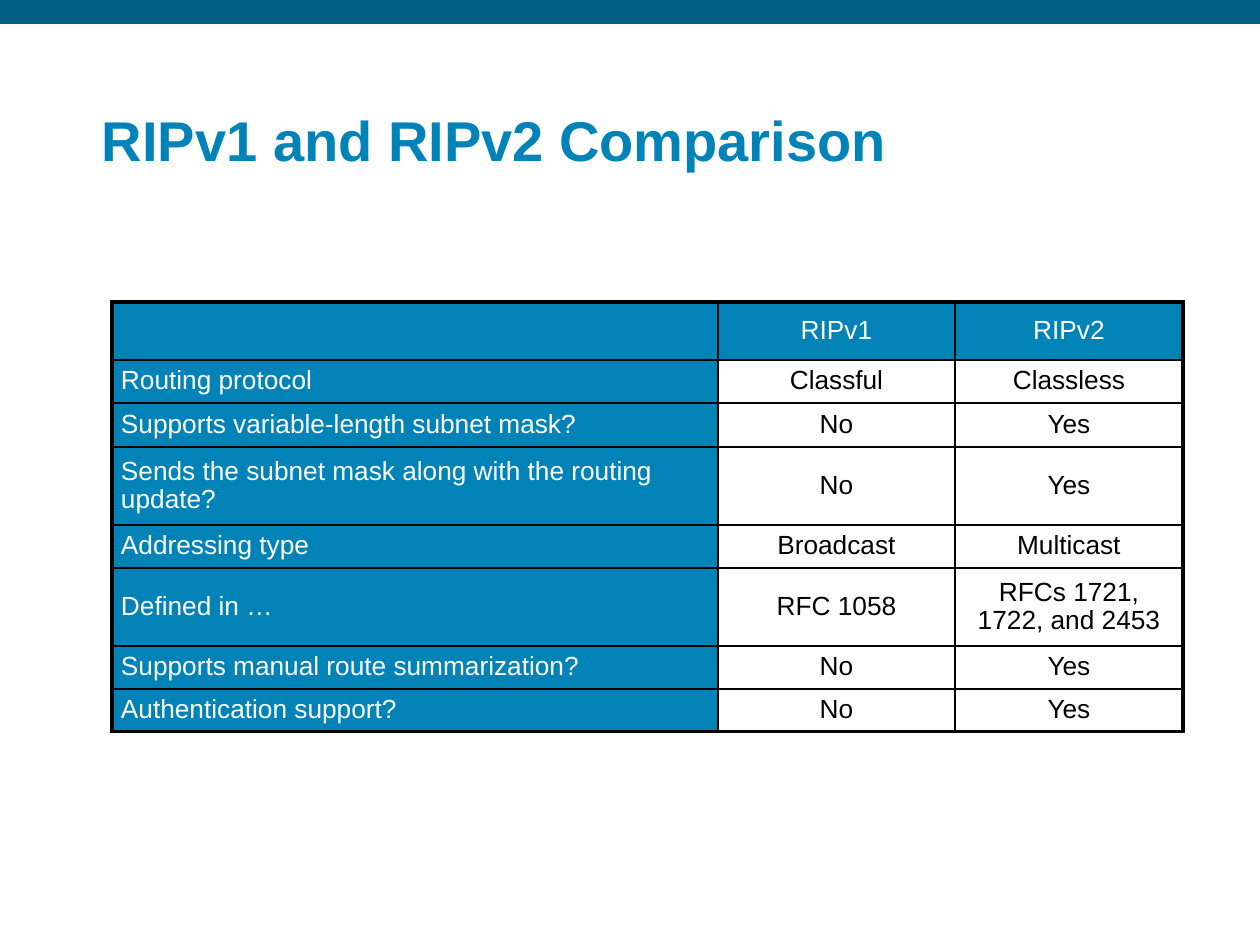
from dataclasses import dataclass

from lxml import etree
from pptx import Presentation
from pptx import util as u
from pptx.dml.color import RGBColor
from pptx.enum import shapes, text
from pptx.oxml import ns


@dataclass(frozen=True)
class Theme:
    font: str = "Arial"
    band: str = "015F85"
    accent: str = "0183B7"
    light: str = "FFFFFF"
    dark: str = "000000"
    title_size: int = 32
    cell_size: int = 15
    outer_line: float = 2.25
    inner_line: float = 1


THEME = Theme()
PX_PER_INCH = 126
COLUMNS = [606, 237, 228]
ROW_HEIGHTS = [58, 43, 44, 78, 43, 78, 43, 43]
COMPARISON = [
    ("", "RIPv1", "RIPv2"),
    ("Routing protocol", "Classful", "Classless"),
    ("Supports variable-length subnet mask?", "No", "Yes"),
    ("Sends the subnet mask along with the routing update?", "No", "Yes"),
    ("Addressing type", "Broadcast", "Multicast"),
    ("Defined in …", "RFC 1058", "RFCs 1721, 1722, and 2453"),
    ("Supports manual route summarization?", "No", "Yes"),
    ("Authentication support?", "No", "Yes"),
]


def px(length):
    return u.Emu(round(length * u.Inches(1) / PX_PER_INCH))


def apply(target, formats):
    for name, value in formats.items():
        setattr(target, name, value)


def write(paragraph, words, size, color, bold, align, spacing):
    apply(paragraph, {"alignment": align, "line_spacing": spacing})
    if words:
        run = paragraph.add_run()
        run.text = words
        apply(run.font, {"name": THEME.font, "size": u.Pt(size), "bold": bold})
        run.font.color.rgb = RGBColor.from_string(color)


def draw_band(slide, box):
    band = slide.shapes.add_shape(shapes.MSO_SHAPE.RECTANGLE, *map(px, box))
    band.shadow.inherit = False
    band.fill.solid()
    band.fill.fore_color.rgb = RGBColor.from_string(THEME.band)
    band.line.fill.background()


def place_title(slide, box, words):
    title = slide.shapes.title
    apply(title, dict(zip(("left", "top", "width", "height"), map(px, box))))
    frame = title.text_frame
    apply(frame, {
        "word_wrap": True,
        "auto_size": text.MSO_AUTO_SIZE.NONE,
        "vertical_anchor": text.MSO_ANCHOR.BOTTOM,
        "margin_left": px(11),
        "margin_right": px(11),
        "margin_top": px(5),
        "margin_bottom": px(5),
    })
    write(frame.paragraphs[0], words, THEME.title_size, THEME.accent, True,
          text.PP_ALIGN.LEFT, 0.9)


def border_cell(cell, outer_sides):
    properties = cell._tc.get_or_add_tcPr()
    for side, is_outer in outer_sides.items():
        width = THEME.outer_line if is_outer else THEME.inner_line
        line = etree.SubElement(properties, ns.qn(f"a:ln{side}"), w=str(u.Pt(width)))
        fill = etree.SubElement(line, ns.qn("a:solidFill"))
        etree.SubElement(fill, ns.qn("a:srgbClr"), val=THEME.dark)


def format_cell(cell, words, is_heading, align):
    apply(cell, {
        "vertical_anchor": text.MSO_ANCHOR.MIDDLE,
        "margin_left": px(9),
        "margin_right": px(9),
        "margin_top": px(4),
        "margin_bottom": px(4),
    })
    cell.fill.solid()
    cell.fill.fore_color.rgb = RGBColor.from_string(
        THEME.accent if is_heading else THEME.light)
    write(cell.text_frame.paragraphs[0], words, THEME.cell_size,
          THEME.light if is_heading else THEME.dark, False, align, 0.95)


def place_comparison(slide, left, top):
    box = (left, top, sum(COLUMNS), sum(ROW_HEIGHTS))
    table = slide.shapes.add_table(
        len(COMPARISON), len(COLUMNS), *map(px, box)).table
    apply(table, {"first_row": False, "horz_banding": False})
    for column, width in zip(table.columns, COLUMNS):
        column.width = px(width)
    for row, height in zip(table.rows, ROW_HEIGHTS):
        row.height = px(height)
    last_row, last_column = len(COMPARISON) - 1, len(COLUMNS) - 1
    for r, entries in enumerate(COMPARISON):
        for c, words in enumerate(entries):
            cell = table.cell(r, c)
            border_cell(cell, {"L": c == 0, "R": c == last_column,
                               "T": r == 0, "B": r == last_row})
            align = text.PP_ALIGN.CENTER if c else text.PP_ALIGN.LEFT
            format_cell(cell, words, r == 0 or c == 0, align)


def main():
    deck = Presentation()
    apply(deck, {"slide_width": px(1260), "slide_height": px(945)})
    slide = deck.slides.add_slide(deck.slide_layouts[5])
    draw_band(slide, (0, 0, 1260, 24))
    place_title(slide, (91, 63, 1123, 116), "RIPv1 and RIPv2 Comparison")
    place_comparison(slide, 112, 302)
    deck.save("out.pptx")


if __name__ == "__main__":
    main()
